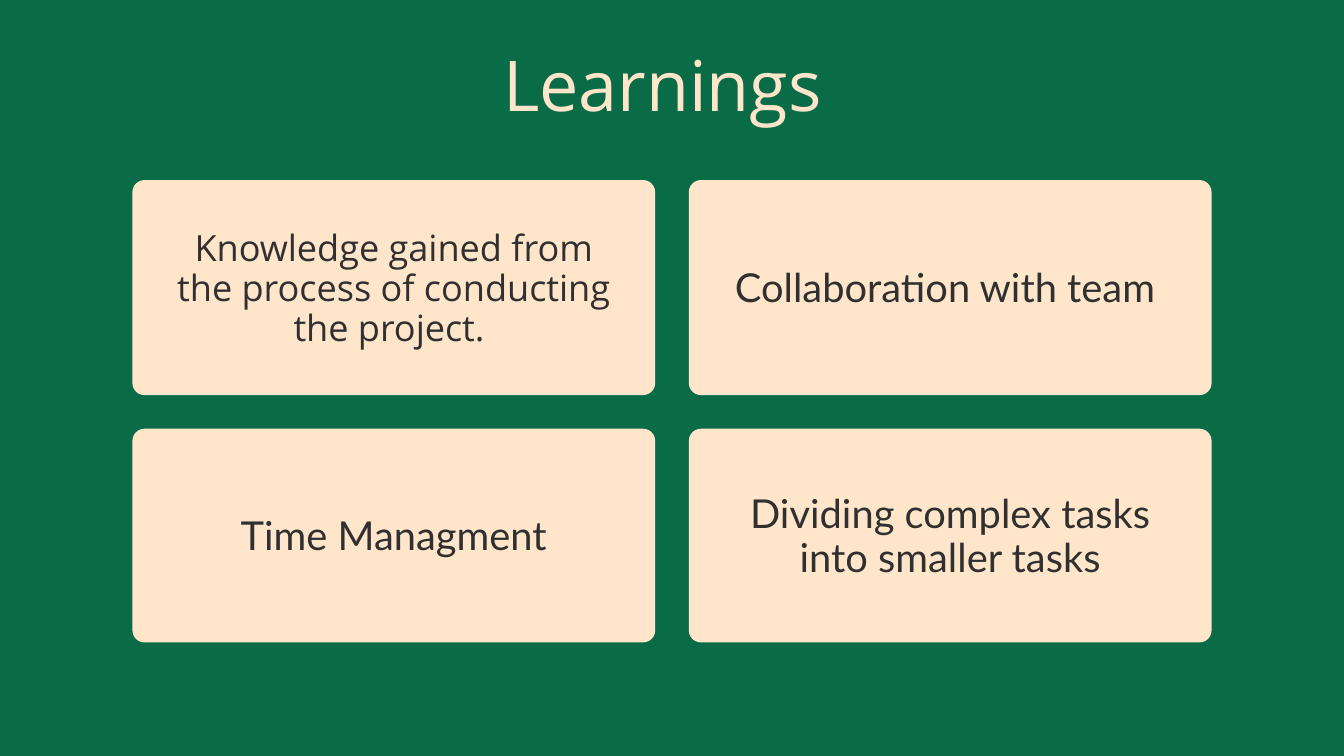
import pptx
import pptx.util
import pptx.dml.color
import pptx.enum.shapes
import pptx.enum.text

Inches = pptx.util.Inches
Pt = pptx.util.Pt
RGBColor = pptx.dml.color.RGBColor

GREEN = RGBColor(0x09, 0x6C, 0x47)
CREAM = RGBColor(0xFF, 0xE6, 0xCB)
CHARCOAL = RGBColor(0x30, 0x30, 0x30)

# Card grid, in inches
COLUMN_LEFTS = (1.97, 10.25)
ROWS = ((2.68, 3.2), (6.38, 3.18))  # top, height
CARD_WIDTH = 7.78
CORNER_RADIUS = 0.18
TEXT_INSET = 0.605
TEXT_DROP = 0.02

# Font, size and line spacing in points
TITLE_STYLE = ("Open Sans", 75, 105)
LONG_STYLE = ("Open Sans", 38.7, 42.5)
SHORT_STYLE = ("Lato", 42.7, 46.9)

# Wording, style and number of lines, row by row
CARDS = (
    (("Knowledge gained from the process of conducting the project. ", LONG_STYLE, 3),
     ("Collaboration with team ", SHORT_STYLE, 1)),
    (("Time Managment", SHORT_STYLE, 1),
     ("Dividing complex tasks into smaller tasks", SHORT_STYLE, 2)),
)


class SlideBuilder:
    def __init__(self, page):
        self.page = page

    def background(self, color):
        fill = self.page.background.fill
        fill.solid()
        fill.fore_color.rgb = color

    def card(self, left, top, width, height):
        shape = self.page.shapes.add_shape(
            pptx.enum.shapes.MSO_SHAPE.ROUNDED_RECTANGLE,
            Inches(left), Inches(top), Inches(width), Inches(height))
        shape.adjustments[0] = CORNER_RADIUS / height
        shape.shadow.inherit = False
        shape.fill.solid()
        shape.fill.fore_color.rgb = CREAM
        shape.line.fill.background()

    def text(self, wording, left, top, width, height, style, color):
        font_name, size, spacing = style
        box = self.page.shapes.add_textbox(
            Inches(left), Inches(top), Inches(width), Inches(height))
        frame = box.text_frame
        frame.word_wrap = True
        frame.auto_size = pptx.enum.text.MSO_AUTO_SIZE.SHAPE_TO_FIT_TEXT
        frame.margin_left = frame.margin_right = 0
        frame.margin_top = frame.margin_bottom = 0
        para = frame.paragraphs[0]
        para.alignment = pptx.enum.text.PP_ALIGN.CENTER
        para.line_spacing = Pt(spacing)
        span = para.add_run()
        span.text = wording
        span.font.name = font_name
        span.font.size = Pt(size)
        span.font.color.rgb = color


def main():
    deck = pptx.Presentation()
    deck.slide_width = Inches(20)
    deck.slide_height = Inches(11.25)
    page = deck.slides.add_slide(deck.slide_layouts[6])
    builder = SlideBuilder(page)
    builder.background(GREEN)

    # Title
    builder.text("Learnings ", 7.31, 0.41, 5.37, 1.42, TITLE_STYLE, CREAM)

    # Cards, each with its text centred from top to bottom
    for (top, height), row in zip(ROWS, CARDS):
        for left, (wording, style, lines) in zip(COLUMN_LEFTS, row):
            builder.card(left, top, CARD_WIDTH, height)
            text_height = lines * style[2] / 72
            text_top = top + (height - text_height) / 2 + TEXT_DROP
            builder.text(wording, left + TEXT_INSET, text_top,
                         CARD_WIDTH - 2 * TEXT_INSET, text_height, style, CHARCOAL)

    deck.save("out.pptx")


if __name__ == "__main__":
    main()
